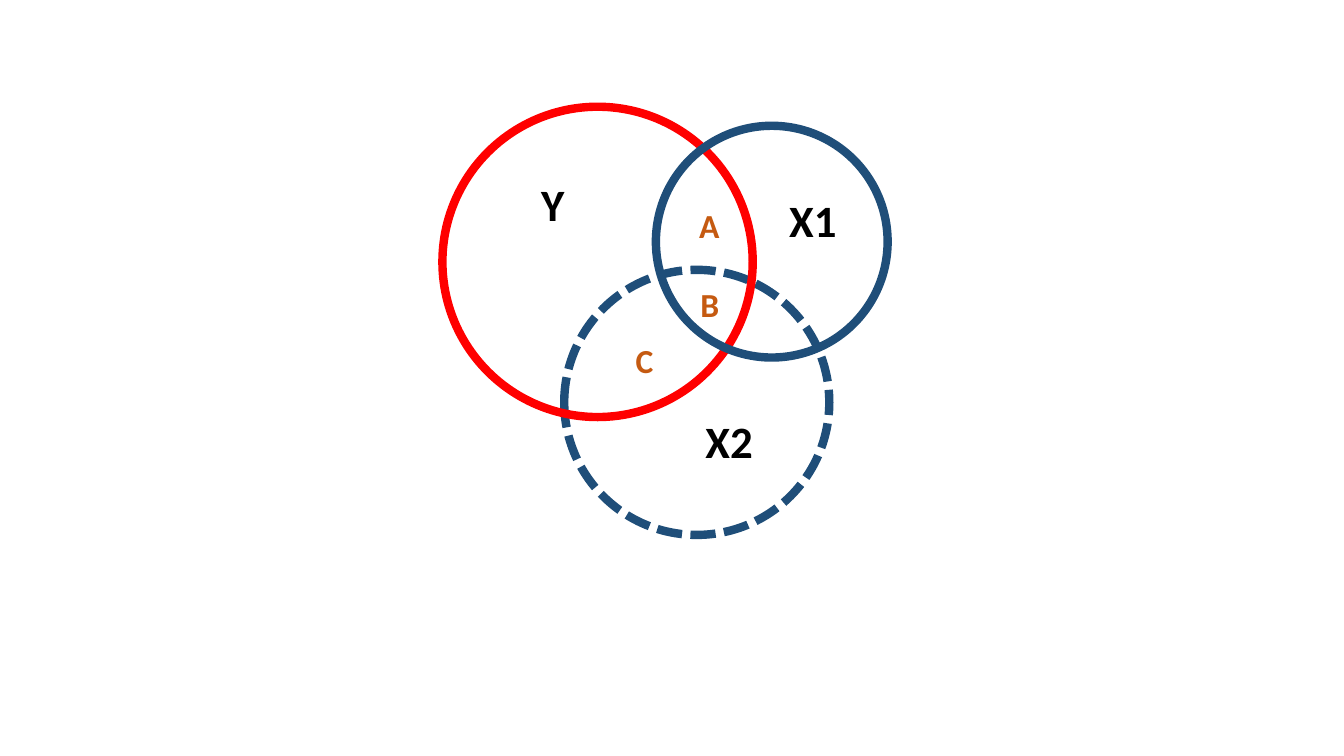
from dataclasses import dataclass

from pptx import Presentation
from pptx.dml.color import RGBColor
from pptx.enum.dml import MSO_LINE
from pptx.enum.shapes import MSO_SHAPE
from pptx.enum.text import MSO_AUTO_SIZE, PP_ALIGN
from pptx.util import Cm, Pt


@dataclass(frozen=True)
class Theme:
    """Colours, type sizes and line weight of the slide."""
    red: RGBColor = RGBColor(0xFF, 0x00, 0x00)
    navy: RGBColor = RGBColor(0x1F, 0x4E, 0x79)
    black: RGBColor = RGBColor(0x00, 0x00, 0x00)
    rust: RGBColor = RGBColor(0xC5, 0x5A, 0x11)
    font: str = "Calibri"
    large: int = 32
    small: int = 24
    weight: int = 6


THEME = Theme()

CIRCLES = [
    (3.07, 4.11, 6.68, THEME.navy, MSO_LINE.SQUARE_DOT),
    (0, 0, 7.82, THEME.red, MSO_LINE.SOLID),
    (5.38, 0.48, 5.84, THEME.navy, MSO_LINE.SOLID),
]
SETS = [
    ("Y", 0.94, 1.63, 3.68),
    ("X1", 7.11, 2.03, 4.45),
    ("X2", 5.13, 7.62, 4.19),
]
AREAS = [
    ("A", 6.22, 2.34, 1.42),
    ("B", 6.25, 4.34, 1.42),
    ("C", 4.62, 5.74, 1.42),
]


def style(item, values):
    """Set each named value on the item."""
    for name, value in values.items():
        setattr(item, name, value)


def circle(group, left, top, size, color, dash):
    """Draw one unfilled circle."""
    ring = group.shapes.add_shape(
        MSO_SHAPE.OVAL, Cm(left), Cm(top), Cm(size), Cm(size))
    ring.shadow.inherit = False
    ring.fill.background()
    ring.line.color.rgb = color
    style(ring.line, {"width": Pt(THEME.weight), "dash_style": dash})


def label(group, text, left, top, width, height, size, color, align):
    """Write one bold label."""
    frame = group.shapes.add_textbox(
        Cm(left), Cm(top), Cm(width), Cm(height)).text_frame
    style(frame, {"word_wrap": True,
                  "auto_size": MSO_AUTO_SIZE.SHAPE_TO_FIT_TEXT})
    para = frame.paragraphs[0]
    para.alignment = align
    run = para.add_run()
    run.text = text
    style(run.font, {"name": THEME.font, "size": Pt(size), "bold": True})
    run.font.color.rgb = color


def venn(slide, left, top):
    """Place the circles and labels from the given corner."""
    group = slide.shapes.add_group_shape()
    for x, y, size, color, dash in CIRCLES:
        circle(group, left + x, top + y, size, color, dash)
    for text, x, y, width in SETS:
        label(group, text, left + x, top + y, width, 1.62,
              THEME.large, THEME.black, PP_ALIGN.CENTER)
    for text, x, y, width in AREAS:
        label(group, text, left + x, top + y, width, 1.27,
              THEME.small, THEME.rust, PP_ALIGN.LEFT)


def main():
    """Build and save the slide."""
    deck = Presentation()
    style(deck, {"slide_width": Cm(33.87), "slide_height": Cm(19.05)})
    slide = deck.slides.add_slide(deck.slide_layouts[6])
    venn(slide, 11.15, 2.69)
    deck.save("out.pptx")


if __name__ == "__main__":
    main()
